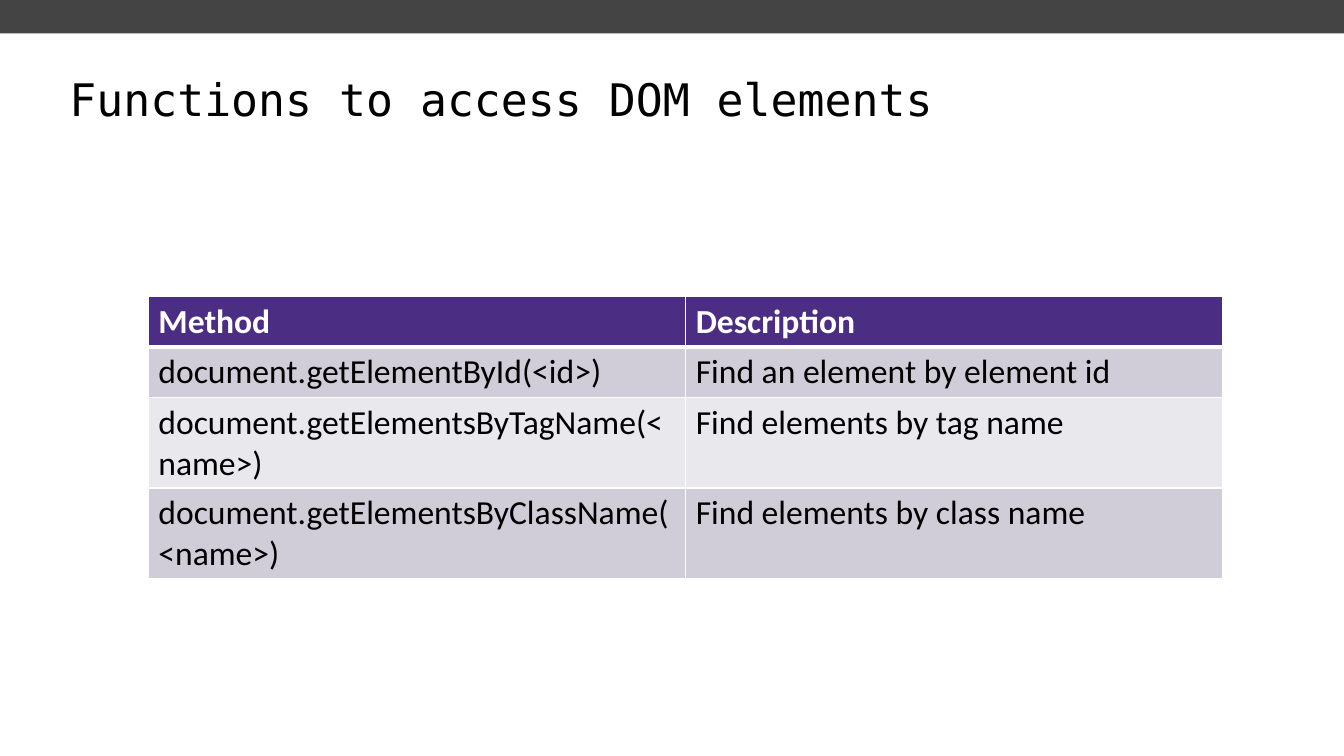
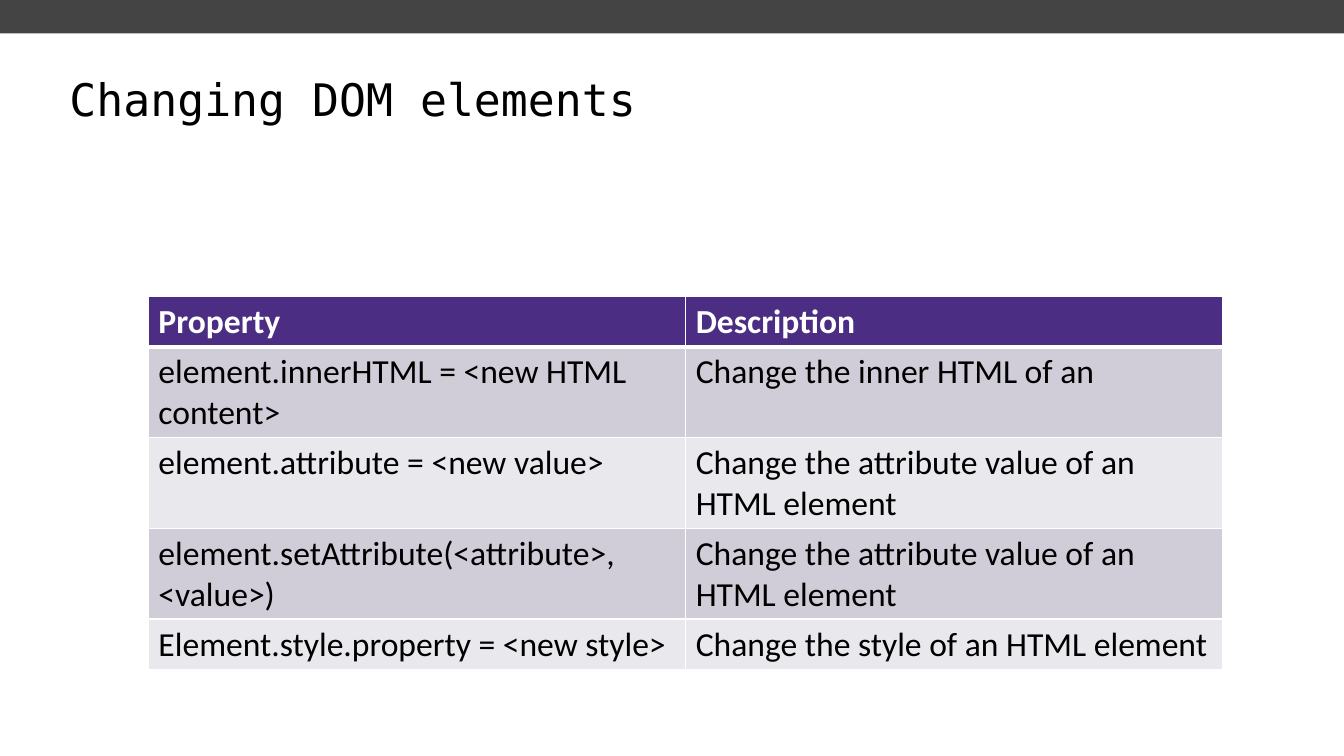
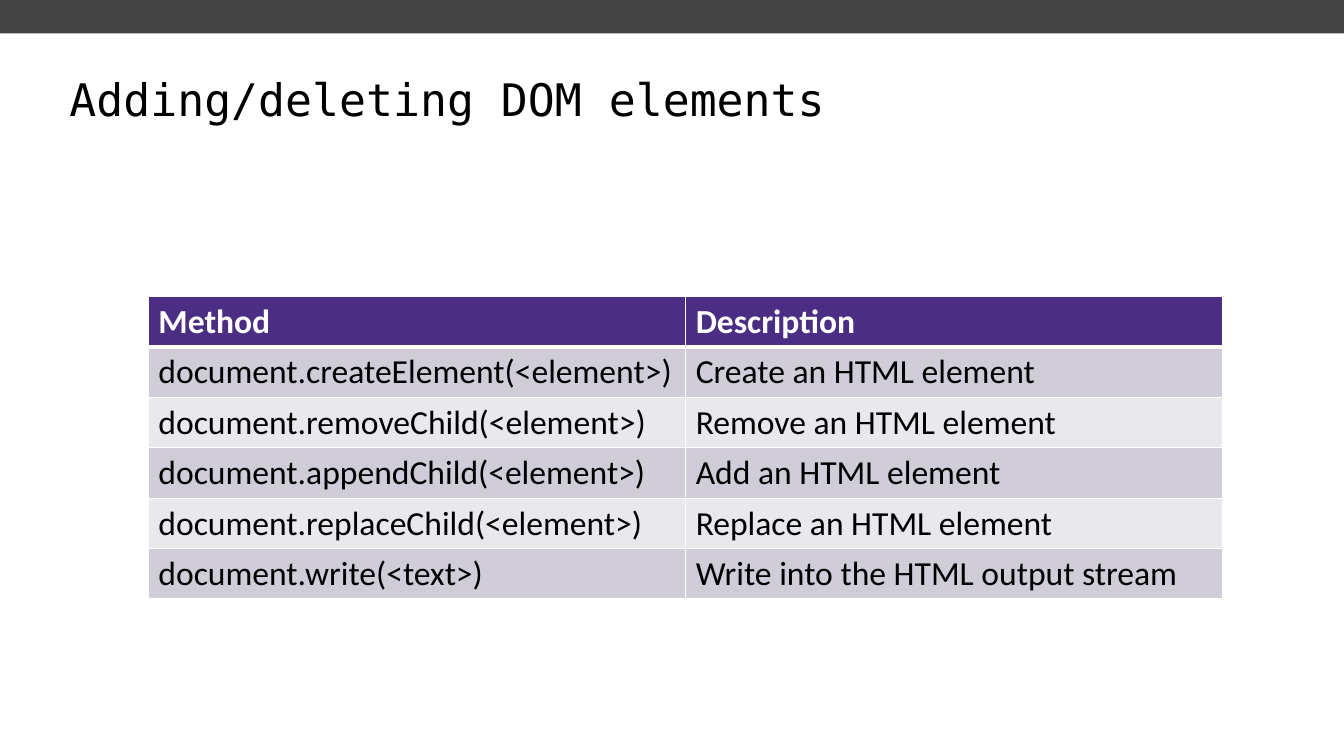
from lxml.etree import SubElement
from pptx import Presentation
from pptx.dml.color import RGBColor
from pptx.enum.shapes import MSO_SHAPE as Shape
from pptx.enum.text import MSO_ANCHOR as Anchor
from pptx.oxml.ns import qn
from pptx.util import Pt

# Shared look
SLIDE_W, SLIDE_H = 960, 540
WHITE = RGBColor(0xFF, 0xFF, 0xFF)
BLACK = RGBColor(0x00, 0x00, 0x00)
BAND_GREY = RGBColor(0x44, 0x44, 0x44)
PURPLE = RGBColor(0x4B, 0x2E, 0x83)
ROW_FILLS = (RGBColor(0xD0, 0xCD, 0xD9), RGBColor(0xE9, 0xE8, 0xED))
TITLE_FONT, TITLE_SIZE = "DejaVu Sans Mono", 32
TABLE_FONT, TABLE_SIZE = "Calibri", 24
THIN, THICK = 1, 3

# Regions: left, top, width, height
BAND_BOX = (0, 0, SLIDE_W, 23.8)
TITLE_BOX = (42.5, 33.8, 888, 77.8)
TABLE_BOX = (106, 211.7, 767.6)
ROW_H = 29.2

# Title, then table rows with the header first
SLIDES = [
    ("Functions to access DOM elements", [
        ("Method", "Description"),
        ("document.getElementById(<id>)", "Find an element by element id"),
        ("document.getElementsByTagName(<name>)", "Find elements by tag name"),
        ("document.getElementsByClassName(<name>)", "Find elements by class name"),
    ]),
    ("Changing DOM elements", [
        ("Property", "Description"),
        ("element.innerHTML = <new HTML content>", "Change the inner HTML of an"),
        ("element.attribute = <new value>",
         "Change the attribute value of an HTML element"),
        ("element.setAttribute(<attribute>, <value>)",
         "Change the attribute value of an HTML element"),
        ("Element.style.property = <new style>", "Change the style of an HTML element"),
    ]),
    ("Adding/deleting DOM elements", [
        ("Method", "Description"),
        ("document.createElement(<element>)", "Create an HTML element"),
        ("document.removeChild(<element>)", "Remove an HTML element"),
        ("document.appendChild(<element>)", "Add an HTML element"),
        ("document.replaceChild(<element>)", "Replace an HTML element"),
        ("document.write(<text>)", "Write into the HTML output stream"),
    ]),
]


def add_span(para, text, font, size, color, bold=False):
    span = para.add_run()
    span.text = text
    span.font.name = font
    span.font.size = Pt(size)
    span.font.color.rgb = color
    span.font.bold = bold


def add_band(page, box):
    band = page.shapes.add_shape(Shape.RECTANGLE, *map(Pt, box))
    band.shadow.inherit = False
    band.fill.solid()
    band.fill.fore_color.rgb = BAND_GREY
    band.line.fill.background()


def add_title(page, box, text):
    frame = page.shapes.add_textbox(*map(Pt, box)).text_frame
    frame.word_wrap = True
    frame.vertical_anchor = Anchor.MIDDLE
    para = frame.paragraphs[0]
    para.line_spacing = 0.9
    para.space_before = Pt(TITLE_SIZE * 0.2)
    add_span(para, text, TITLE_FONT, TITLE_SIZE, BLACK)


def set_borders(cell, top, bottom):
    props = cell._tc.get_or_add_tcPr()
    for side, width in (("L", THIN), ("R", THIN), ("T", top), ("B", bottom)):
        line = SubElement(props, qn(f"a:ln{side}"), w=str(Pt(width)))
        fill = SubElement(line, qn("a:solidFill"))
        SubElement(fill, qn("a:srgbClr"), val=str(WHITE))


def add_method_table(page, box, rows):
    left, top, width = box
    columns = len(rows[0])
    table = page.shapes.add_table(
        len(rows), columns, Pt(left), Pt(top), Pt(width), Pt(ROW_H * len(rows))).table
    for column in table.columns:
        column.width = Pt(width / columns)
    for r, texts in enumerate(rows):
        table.rows[r].height = Pt(ROW_H)
        header = r == 0
        for c, text in enumerate(texts):
            cell = table.cell(r, c)
            # The thick rule lies between the header and the first row
            set_borders(cell, THICK if r == 1 else THIN, THICK if header else THIN)
            cell.fill.solid()
            cell.fill.fore_color.rgb = PURPLE if header else ROW_FILLS[(r - 1) % 2]
            add_span(cell.text_frame.paragraphs[0], text, TABLE_FONT, TABLE_SIZE,
                     WHITE if header else BLACK, bold=header)


def main():
    deck = Presentation()
    deck.slide_width, deck.slide_height = Pt(SLIDE_W), Pt(SLIDE_H)
    for title, rows in SLIDES:
        page = deck.slides.add_slide(deck.slide_layouts[6])
        add_band(page, BAND_BOX)
        add_title(page, TITLE_BOX, title)
        add_method_table(page, TABLE_BOX, rows)
    deck.save("out.pptx")


if __name__ == "__main__":
    main()
